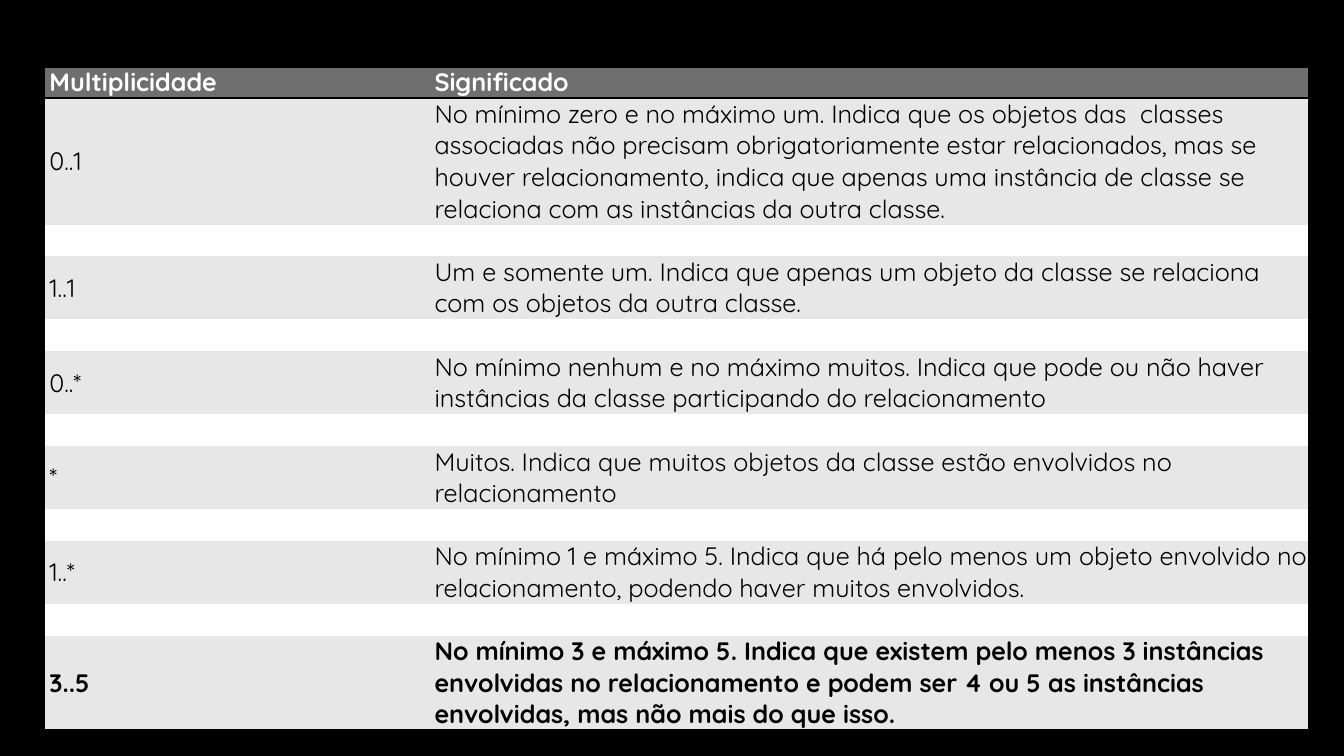
from lxml import etree
from pptx import Presentation
from pptx.dml.color import RGBColor
from pptx.enum.text import MSO_ANCHOR
from pptx.oxml.ns import qn
from pptx.util import Inches, Pt

MIDDLE = MSO_ANCHOR.MIDDLE

HEADER = ("Multiplicidade", "Significado")
MULTIPLICITIES = [
    ("0..1", "No mínimo zero e no máximo um. Indica que os objetos das  classes "
             "associadas não precisam obrigatoriamente estar relacionados, mas se houver "
             "relacionamento, indica que apenas uma instância de classe se relaciona com "
             "as instâncias da outra classe.", 4),
    ("1..1", "Um e somente um. Indica que apenas um objeto da classe se relaciona "
             "com os objetos da outra classe.", 2),
    ("0..*", "No mínimo nenhum e no máximo muitos. Indica que pode ou não haver "
             "instâncias da classe participando do relacionamento", 2),
    ("*", "Muitos. Indica que muitos objetos da classe estão envolvidos no "
          "relacionamento", 2),
    ("1..*", "No mínimo 1 e máximo 5. Indica que há pelo menos um objeto envolvido no "
             "relacionamento, podendo haver muitos envolvidos.", 2),
    ("3..5", "No mínimo 3 e máximo 5. Indica que existem pelo menos 3 instâncias "
             "envolvidas no relacionamento e podem ser 4 ou 5 as instâncias envolvidas, "
             "mas não mais do que isso.", 3),
]

THEME = {
    "font": "Quicksand", "size": 18, "border": 2,
    "black": "000000", "white": "FFFFFF", "header": "6F6F6F", "band": "E7E7E7",
}
PLAIN_TABLE_STYLE = "{2D5ABB26-0587-4C30-8999-92F81FD0307C}"
LEFT, TOP = 0.45, 0.66
COLUMN_WIDTHS = (3.82, 8.7)
LINE_HEIGHT = 0.28


def color(name):
    return RGBColor.from_string(THEME[name])


def add_border(cell, side):
    properties = cell._tc.get_or_add_tcPr()
    line = etree.Element(qn(f"a:{side}"), w=str(Pt(THEME["border"])))
    fill = etree.SubElement(line, qn("a:solidFill"))
    etree.SubElement(fill, qn("a:srgbClr"), val=THEME["black"])
    position = len(properties.findall(qn("a:lnT")))
    properties.insert(position, line)


def format_cell(cell, text, fill, text_color, bold, borders):
    layout = {"margin_left": Inches(0.04), "margin_right": 0, "margin_top": 0,
              "margin_bottom": 0, "vertical_anchor": MIDDLE}
    for name, value in layout.items():
        setattr(cell, name, value)
    cell.fill.solid()
    cell.fill.fore_color.rgb = color(fill)
    paragraph = cell.text_frame.paragraphs[0]
    if text:
        run = paragraph.add_run()
        run.text = text
        font_format = {"name": THEME["font"], "size": Pt(THEME["size"]), "bold": bold}
        for name, value in font_format.items():
            setattr(run.font, name, value)
        run.font.color.rgb = color(text_color)
    else:
        end = etree.SubElement(paragraph._p, qn("a:endParaRPr"), sz=str(THEME["size"] * 100))
        etree.SubElement(end, qn("a:latin"), typeface=THEME["font"])
    for side in borders:
        add_border(cell, side)


def table_rows():
    rows = [(HEADER, 1, "header", "white", True, ("lnT", "lnB"))]
    for index, (multiplicity, meaning, lines) in enumerate(MULTIPLICITIES):
        last = index == len(MULTIPLICITIES) - 1
        if index:
            rows.append((("", ""), 1, "white", "black", False, ()))
        borders = ("lnB",) if last else ()
        rows.append(((multiplicity, meaning), lines, "band", "black", last, borders))
    return rows


def main():
    presentation = Presentation()
    presentation.slide_width = Inches(13.33)
    presentation.slide_height = Inches(7.5)
    slide = presentation.slides.add_slide(presentation.slide_layouts[6])
    slide.background.fill.solid()
    slide.background.fill.fore_color.rgb = color("black")

    rows = table_rows()
    height = LINE_HEIGHT * sum(row[1] for row in rows)
    frame = slide.shapes.add_table(len(rows), len(COLUMN_WIDTHS), Inches(LEFT), Inches(TOP),
                                   Inches(sum(COLUMN_WIDTHS)), Inches(height))
    table = frame.table
    table.first_row = True
    table.horz_banding = False
    table._tbl.tblPr.find(qn("a:tableStyleId")).text = PLAIN_TABLE_STYLE
    for column, width in zip(table.columns, COLUMN_WIDTHS):
        column.width = Inches(width)
    for row, (texts, lines, *style) in zip(table.rows, rows):
        row.height = Inches(LINE_HEIGHT * lines)
        for cell, text in zip(row.cells, texts):
            format_cell(cell, text, *style)

    presentation.save("out.pptx")


if __name__ == "__main__":
    main()
